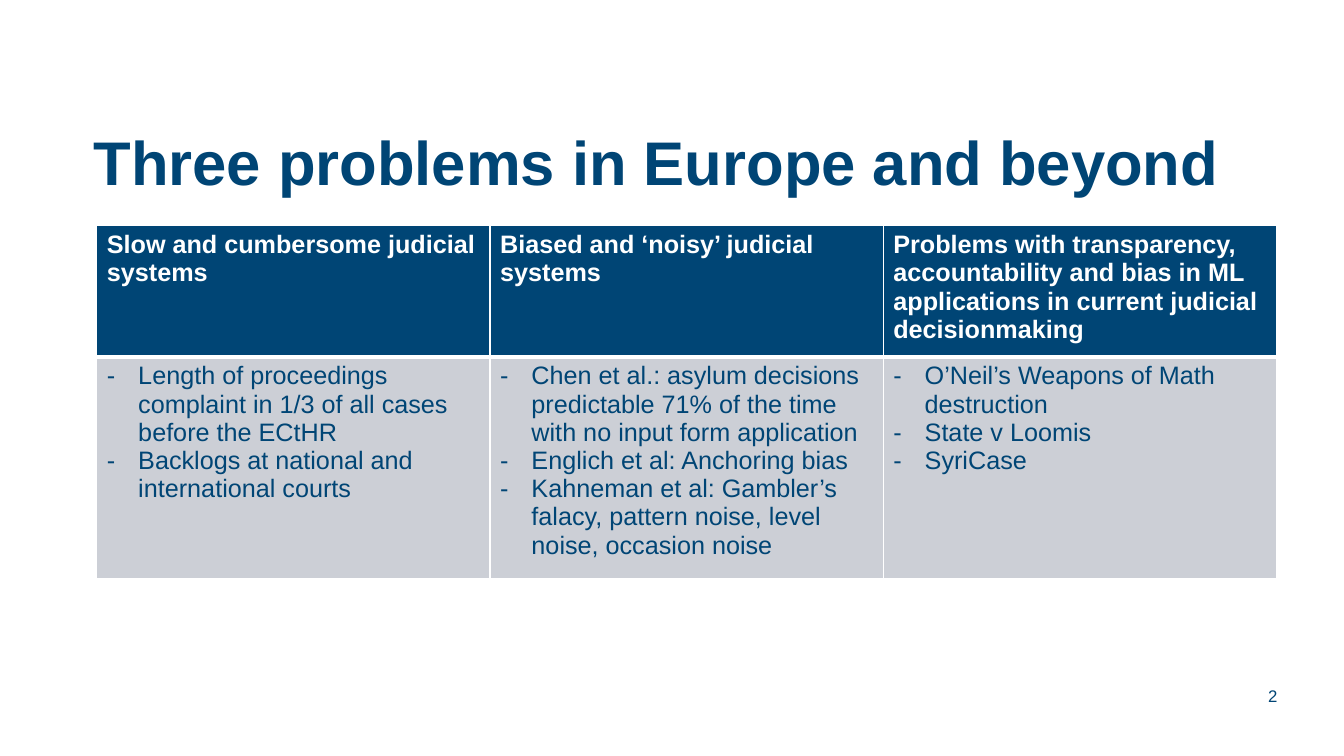
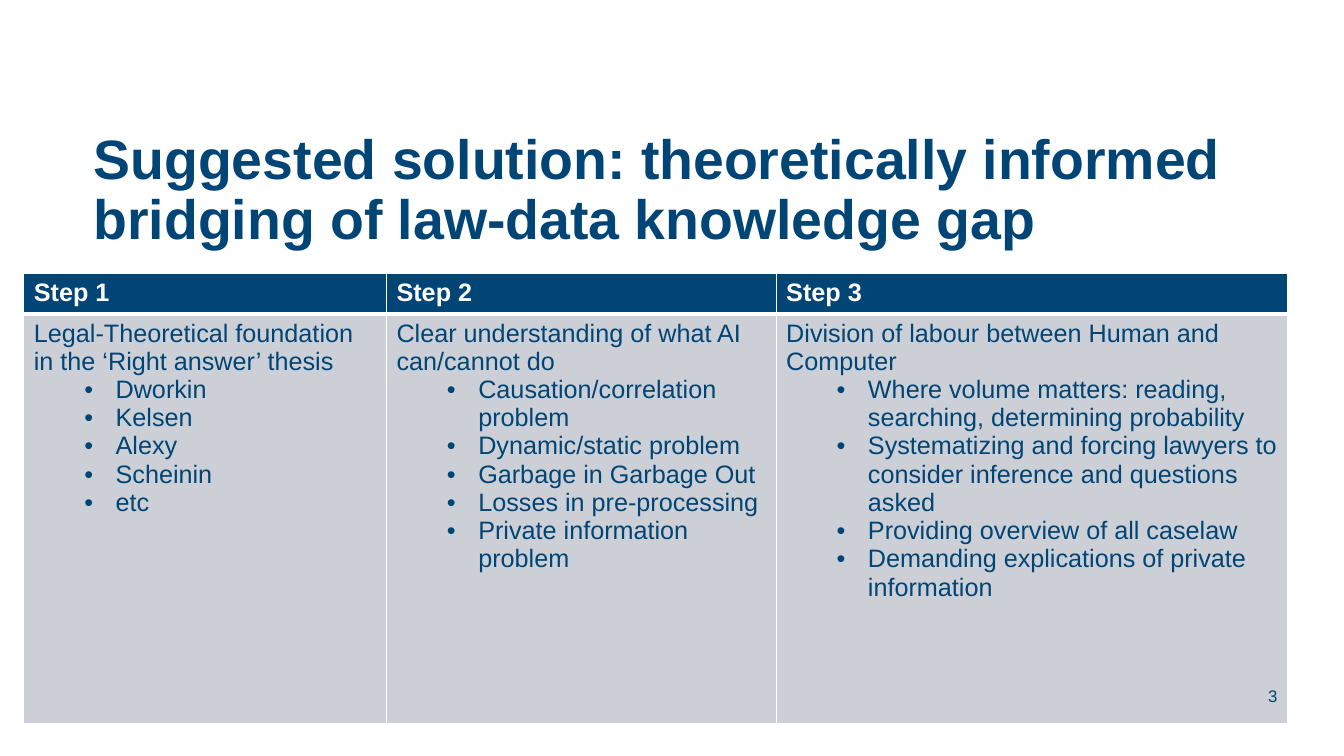
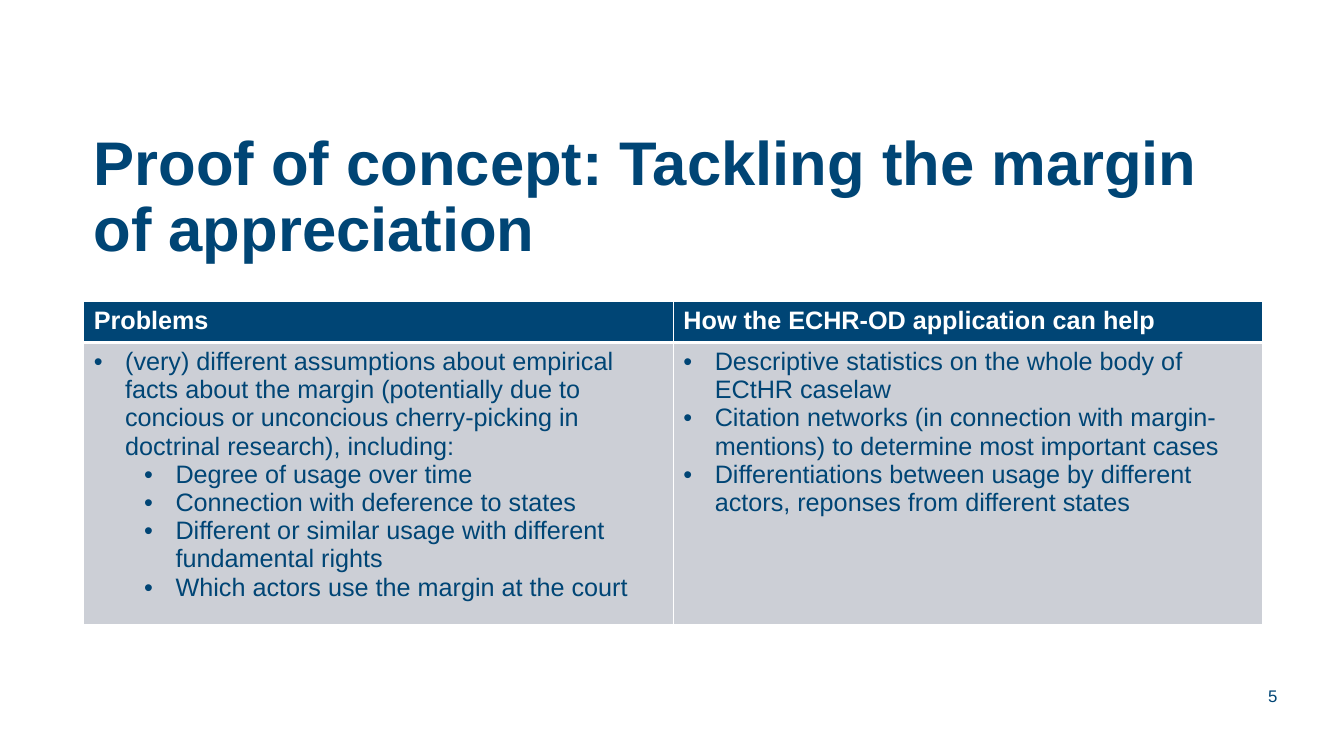
"""Build three slides on judicial decision-making, each a title over a table."""
from lxml import etree
from pptx import Presentation
from pptx import util as u
from pptx.dml.color import RGBColor
from pptx.enum import text
from pptx.oxml import ns

NAVY = RGBColor(0x00, 0x45, 0x75)
GREY = RGBColor(0xCC, 0xCF, 0xD6)
WHITE = RGBColor(0xFF, 0xFF, 0xFF)
FONT = "Arial"

PLAIN, DASH, DOT, SUBDOT = (None, 0), ("-", 0), ("•", 0), ("•", 1)
HANG, LEVEL_STEP = 0.79, 1.27
THIN, THICK = 1, 3

SLIDES = [
    {
        "title": "Three problems in Europe and beyond", "title_size": 44, "number": "2",
        "corner": (2.44, 5.69), "widths": [9.91] * 3, "heights": [3.1, 5.2],
        "columns": [
            ("Slow and cumbersome judicial systems", [
                (DASH, "Length of proceedings complaint in 1/3 of all cases before the ECtHR"),
                (DASH, "Backlogs at national and international courts")]),
            ("Biased and ‘noisy’ judicial systems", [
                (DASH, "Chen et al.: asylum decisions predictable 71% of the time "
                       "with no input form application"),
                (DASH, "Englich et al: Anchoring bias"),
                (DASH, "Kahneman et al: Gambler’s falacy, pattern noise, level noise, "
                       "occasion noise")]),
            ("Problems with transparency, accountability and bias in ML applications "
             "in current judicial decisionmaking", [
                (DASH, "O’Neil’s Weapons of Math destruction"),
                (DASH, "State v Loomis"),
                (DASH, "SyriCase")]),
        ],
    },
    {
        "title": "Suggested solution: theoretically informed bridging of law-data knowledge gap",
        "title_size": 39.6, "number": "3",
        "corner": (0.6, 6.9), "widths": [9.14, 9.82, 12.9], "heights": [0.97, 10.31],
        "columns": [
            ("Step 1", [
                (PLAIN, "Legal-Theoretical foundation in the ‘Right answer’ thesis"),
                (SUBDOT, "Dworkin"),
                (SUBDOT, "Kelsen"),
                (SUBDOT, "Alexy"),
                (SUBDOT, "Scheinin"),
                (SUBDOT, "etc")]),
            ("Step 2", [
                (PLAIN, "Clear understanding of what AI can/cannot do"),
                (SUBDOT, "Causation/correlation problem"),
                (SUBDOT, "Dynamic/static problem"),
                (SUBDOT, "Garbage in Garbage Out"),
                (SUBDOT, "Losses in pre-processing"),
                (SUBDOT, "Private information problem")]),
            ("Step 3", [
                (PLAIN, "Division of labour between Human and Computer"),
                (SUBDOT, "Where volume matters: reading, searching, determining probability"),
                (SUBDOT, "Systematizing and forcing lawyers to consider inference "
                         "and questions asked"),
                (SUBDOT, "Providing overview of all caselaw"),
                (SUBDOT, "Demanding explications of private information")]),
        ],
    },
    {
        "title": "Proof of concept: Tackling the margin of appreciation",
        "title_size": 44, "number": "5",
        "corner": (2.11, 7.6), "widths": [14.86] * 2, "heights": [1.03, 6.63],
        "columns": [
            ("Problems", [
                (DOT, "(very) different assumptions about empirical facts about the margin "
                      "(potentially due to concious or unconcious cherry-picking in "
                      "doctrinal research), including:"),
                (SUBDOT, "Degree of usage over time"),
                (SUBDOT, "Connection with deference to states"),
                (SUBDOT, "Different or similar usage with different fundamental rights"),
                (SUBDOT, "Which actors use the margin at the court")]),
            ("How the ECHR-OD application can help", [
                (DOT, "Descriptive statistics on the whole body of ECtHR caselaw"),
                (DOT, "Citation networks (in connection with margin-mentions) to determine "
                      "most important cases"),
                (DOT, "Differentiations between usage by different actors, reponses from "
                      "different states")]),
        ],
    },
]


def add_span(para, words, size, colour, bold=False):
    span = para.add_run()
    span.text = words
    span.font.name = FONT
    span.font.size = u.Pt(size)
    span.font.bold = bold
    span.font.color.rgb = colour


def add_text(page, place, words, size, bold=False, align=text.PP_ALIGN.LEFT,
             anchor=text.MSO_ANCHOR.TOP, spacing=1.0):
    box = page.shapes.add_textbox(*map(u.Cm, place))
    box.text_frame.word_wrap = True
    box.text_frame.vertical_anchor = anchor
    para = box.text_frame.paragraphs[0]
    para.alignment = align
    para.line_spacing = spacing
    add_span(para, words, size, NAVY, bold)


def set_bullet(para, style):
    mark, level = style
    para.level = level
    if mark:
        props = para._p.get_or_add_pPr()
        props.set("marL", str(u.Cm(HANG + level * LEVEL_STEP)))
        props.set("indent", str(-u.Cm(HANG)))
        etree.SubElement(props, ns.qn("a:buFont"), typeface=FONT)
        etree.SubElement(props, ns.qn("a:buChar"), char=mark)


def set_borders(cell, top, bottom):
    props = cell._tc.get_or_add_tcPr()
    widths = {"a:lnL": THIN, "a:lnR": THIN, "a:lnT": top, "a:lnB": bottom}
    for position, (side, width) in enumerate(widths.items()):
        line = etree.Element(ns.qn(side), w=str(u.Pt(width)))
        fill = etree.SubElement(line, ns.qn("a:solidFill"))
        etree.SubElement(fill, ns.qn("a:srgbClr"), val=str(WHITE))
        props.insert(position, line)


def fill_cell(cell, items, back, colour, bold, top, bottom):
    cell.fill.solid()
    cell.fill.fore_color.rgb = back
    set_borders(cell, top, bottom)
    frame = cell.text_frame
    for index, (style, words) in enumerate(items):
        para = frame.add_paragraph() if index else frame.paragraphs[0]
        set_bullet(para, style)
        add_span(para, words, 18, colour, bold)


def add_grid(page, content):
    widths, heights = content["widths"], content["heights"]
    place = (*content["corner"], sum(widths), sum(heights))
    table = page.shapes.add_table(len(heights), len(widths), *map(u.Cm, place)).table
    for row, height in zip(table.rows, heights):
        row.height = u.Cm(height)
    for index, (heading, items) in enumerate(content["columns"]):
        table.columns[index].width = u.Cm(widths[index])
        fill_cell(table.cell(0, index), [(PLAIN, heading)], NAVY, WHITE, True, THIN, THICK)
        fill_cell(table.cell(1, index), items, GREY, NAVY, False, THICK, THIN)


deck = Presentation()
deck.slide_width, deck.slide_height = u.Cm(33.87), u.Cm(19.05)
for content in SLIDES:
    page = deck.slides.add_slide(deck.slide_layouts[6])
    add_text(page, (2.11, 3.2, 29.72, 3.68), content["title"], content["title_size"],
             bold=True, spacing=0.9)
    add_grid(page, content)
    add_text(page, (31.19, 16.89, 1.25, 1.02), content["number"], 12,
             align=text.PP_ALIGN.RIGHT, anchor=text.MSO_ANCHOR.BOTTOM)
deck.save("out.pptx")
